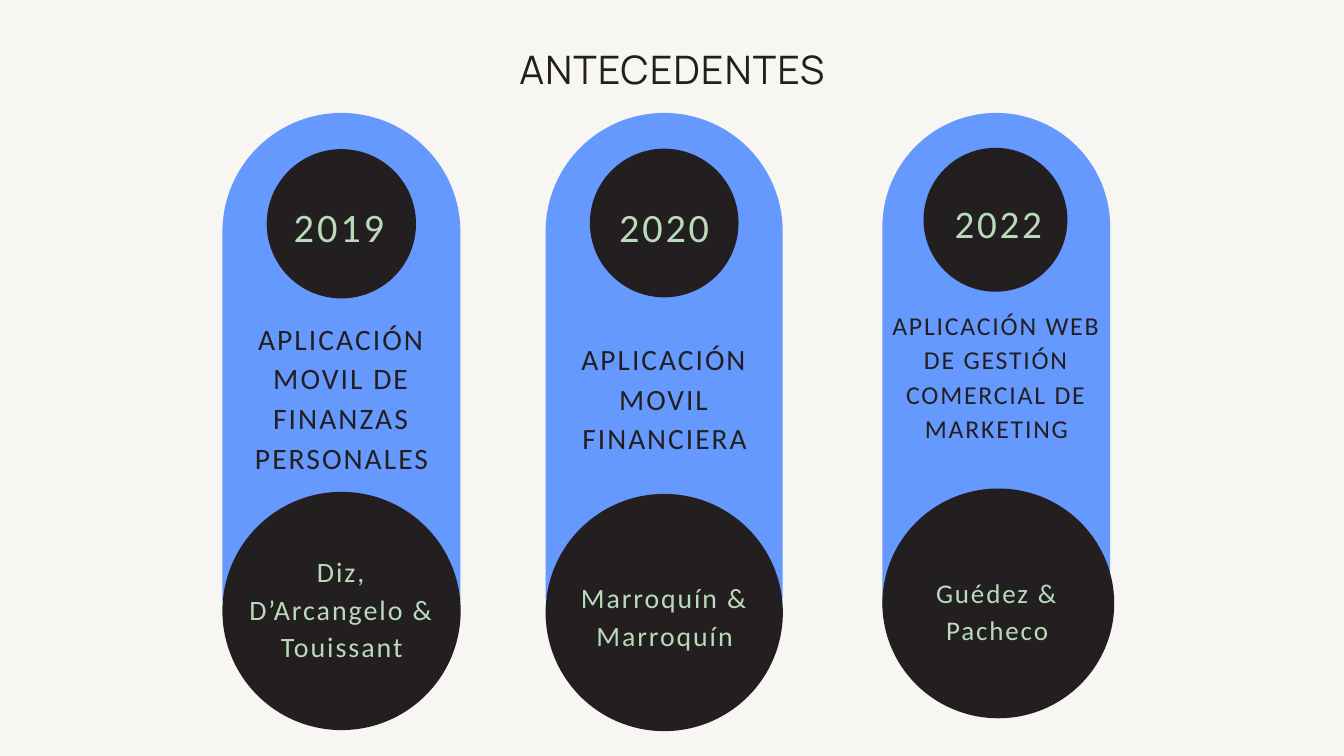
from pptx import Presentation
from pptx.dml.color import RGBColor
from pptx.enum.shapes import MSO_SHAPE
from pptx.enum.text import PP_ALIGN
from pptx.util import Pt

COLORS = {"paper": "F7F6F2", "panel": "6699FE", "ink": "231F20", "mint": "B9DBBA"}

# Each box is left, top, width, height; each text is wording, size, box
COLUMNS = [
    {
        "panel": (238.3, 121, 255, 522.5),
        "year_disc": (285.8, 159.8, 160, 160),
        "author_disc": (238.3, 527, 255.3, 255.3),
        "year": ("2019", 43.3, (260.6, 211, 205.2, 56.9)),
        "topic": ("APLICACIÓN MOVIL DE FINANZAS PERSONALES", 31.7,
                  (238.3, 339.1, 255.6, 166.3)),
        "authors": ("Diz, D’Arcangelo & Touissant", 30,
                    (263.5, 590.4, 205.2, 119.5)),
    },
    {
        "panel": (584.6, 121, 254, 520.4),
        "year_disc": (632, 159.3, 159.3, 159.3),
        "author_disc": (584.6, 529.2, 254.2, 254.2),
        "year": ("2020", 43.1, (609.8, 210.2, 203.8, 56.2)),
        "topic": ("APLICACIÓN MOVIL FINANCIERA", 31.5,
                  (599.8, 361.4, 224.6, 124.6)),
        "authors": ("Marroquín & Marroquín", 29.8,
                    (610.6, 618.5, 203, 78.5)),
    },
    {
        "panel": (945.4, 121, 244.1, 531),
        "year_disc": (989.5, 158.4, 154.2, 154.2),
        "author_disc": (945.4, 523.4, 248.4, 246.2),
        "year": ("2022", 41.8, (970.6, 208.1, 198, 54)),
        "topic": ("APLICACIÓN WEB DE GESTIÓN COMERCIAL DE MARKETING", 27.6,
                  (948.2, 327.6, 239, 182.9)),
        "authors": ("Guédez & Pacheco", 28.9, (980.6, 614.2, 175.7, 76.3)),
    },
]


class SlideBuilder:
    """Holds the style and the current slide."""

    font = "Calibri"
    leading = 1.34
    tracking = 0.07

    def __init__(self, slide):
        self.slide = slide

    def background(self, color):
        fill = self.slide.background.fill
        fill.solid()
        fill.fore_color.rgb = RGBColor.from_string(COLORS[color])

    def shape(self, kind, box, color):
        sp = self.slide.shapes.add_shape(kind, *map(Pt, box))
        sp.shadow.inherit = False
        sp.fill.solid()
        sp.fill.fore_color.rgb = RGBColor.from_string(COLORS[color])
        sp.line.fill.background()
        return sp

    def arch(self, box):
        sp = self.shape(MSO_SHAPE.ROUND_2_SAME_RECTANGLE, box, "panel")
        sp.adjustments[0] = 0.5

    def disc(self, box):
        self.shape(MSO_SHAPE.OVAL, box, "ink")

    def text(self, wording, size, box, color, font=font,
             leading=leading, tracking=tracking):
        tf = self.slide.shapes.add_textbox(*map(Pt, box)).text_frame
        tf.word_wrap = True
        tf.margin_left = tf.margin_right = tf.margin_top = tf.margin_bottom = 0
        tf.text = wording
        p = tf.paragraphs[0]
        p.alignment = PP_ALIGN.CENTER
        p.line_spacing = Pt(round(size * leading, 1))
        r = p.runs[0]
        r.font.name = font
        r.font.size = Pt(size)
        r.font.color.rgb = RGBColor.from_string(COLORS[color])
        # Letter spacing, in hundredths of a point
        r.font._element.set("spc", str(round(size * tracking * 100)))


def main():
    prs = Presentation()
    prs.slide_width, prs.slide_height = Pt(1440), Pt(810)
    s = SlideBuilder(prs.slides.add_slide(prs.slide_layouts[6]))
    s.background("paper")

    # Title
    s.text("ANTECEDENTES", 42, (204.5, 47.5, 1031, 50.4), "ink",
           font="Manrope", leading=1.23, tracking=0.033)

    # One arched column per study
    for column in COLUMNS:
        s.arch(column["panel"])
        s.disc(column["year_disc"])
        s.disc(column["author_disc"])
        s.text(*column["year"], "mint")
        s.text(*column["topic"], "ink")
        s.text(*column["authors"], "mint")

    prs.save("out.pptx")


if __name__ == "__main__":
    main()
